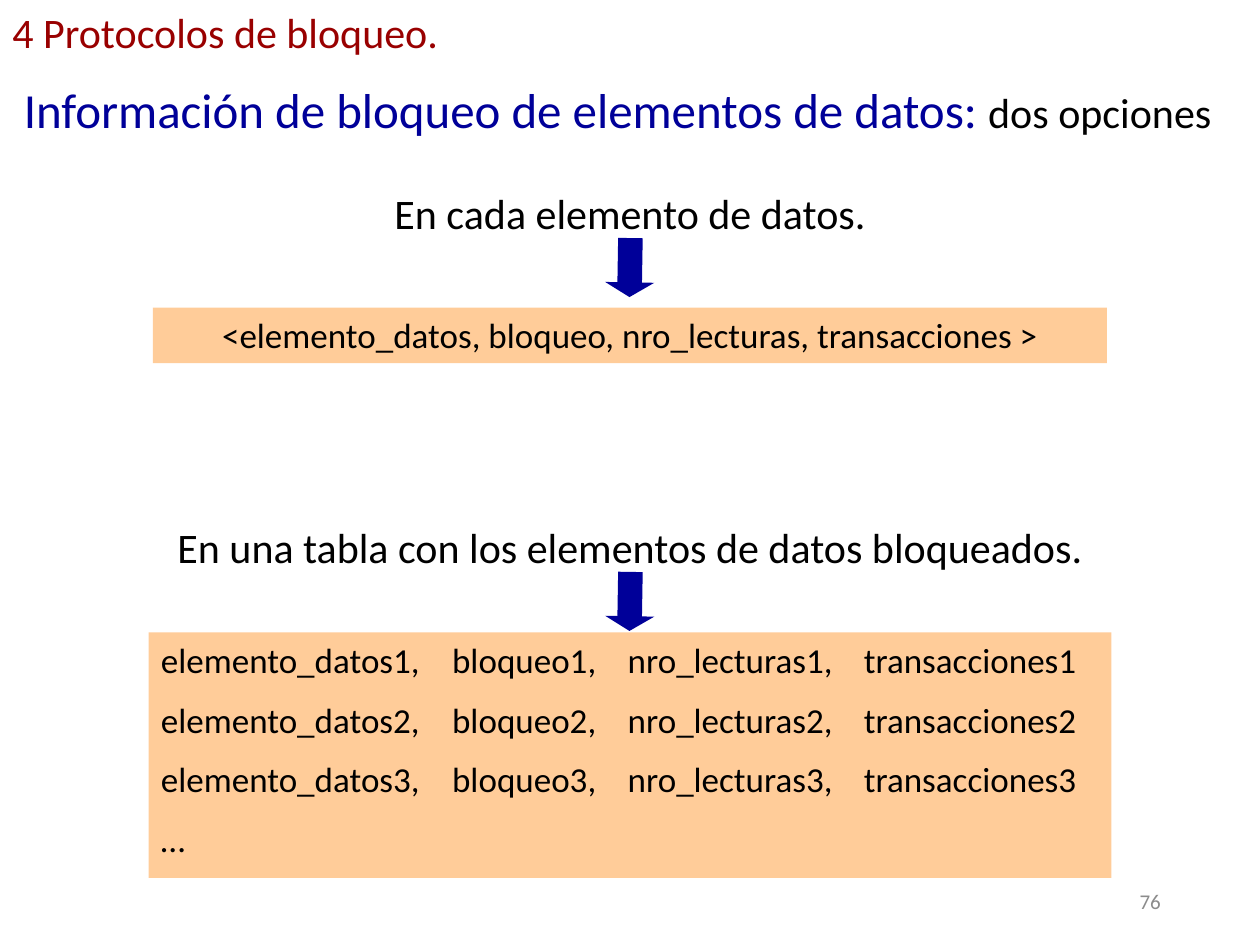
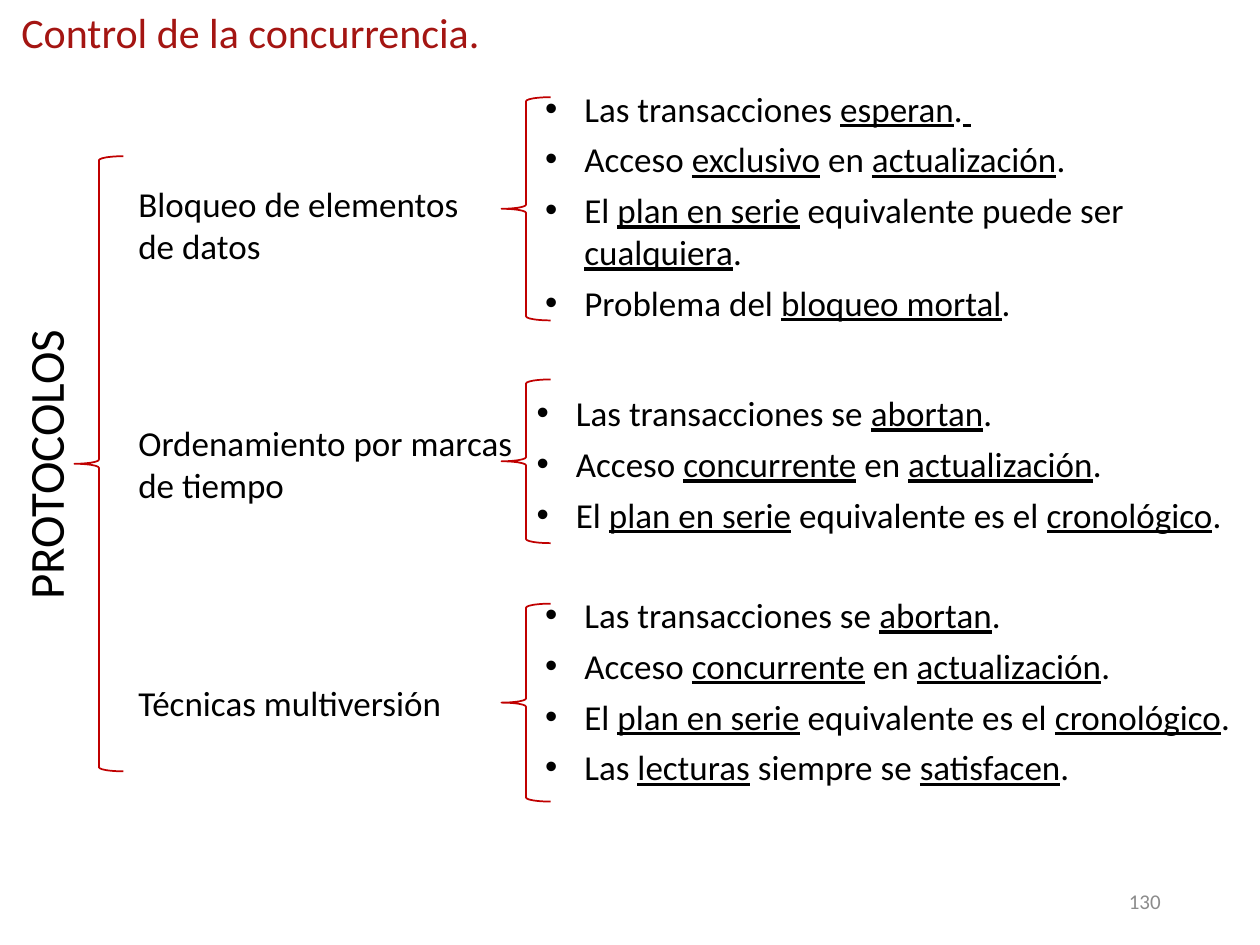
from pptx import Presentation
from pptx.dml.color import RGBColor
from pptx.enum.shapes import MSO_SHAPE as Preset
from pptx.enum.text import MSO_ANCHOR as Anchor, PP_ALIGN as Align
from pptx.oxml import parse_xml
from pptx.oxml.ns import nsdecls
from pptx.util import Cm, Pt

PAGE_WIDTH, PAGE_HEIGHT = 25.4, 19.05
COLORS = {
    "text": "000000",
    "number": "8C8C8C",
    "maroon": "990000",
    "red": "A41512",
    "navy": "000099",
    "peach": "FFCC99",
    "brace": "C00000",
}


def color(name):
    return RGBColor.from_string(COLORS[name])


def centered(width):
    """Left edge that centres something of this width on the page."""
    return (PAGE_WIDTH - width) / 2


class Deck:
    font = "Calibri"

    def __init__(self):
        self.prs = Presentation()
        self.prs.slide_width, self.prs.slide_height = Cm(PAGE_WIDTH), Cm(PAGE_HEIGHT)
        self.slide = None

    def new_slide(self, title, title_left, title_color, number):
        self.slide = self.prs.slides.add_slide(self.prs.slide_layouts[6])
        self.text(title_left, 0, 11.5, 1.27, [[title]], 24, title_color)
        self.text(17.93, 17.65, 5.72, 1.02, [[number]], 12, "number",
                  align=Align.RIGHT, anchor=Anchor.MIDDLE)

    def add_words(self, paragraph, words, size, ink="text", underline=False):
        run = paragraph.add_run()
        run.text = words
        run.font.name, run.font.size = self.font, Pt(size)
        run.font.color.rgb = color(ink)
        if underline:
            run.font.underline = True

    def fill_frame(self, frame, paragraphs, size, ink="text", align=Align.LEFT,
                   anchor=Anchor.TOP, gap=0):
        """Fill a frame; each paragraph is a list of strings or of add_words() arguments."""
        frame.word_wrap = True
        frame.vertical_anchor = anchor
        for index, pieces in enumerate(paragraphs):
            paragraph = frame.add_paragraph() if index else frame.paragraphs[0]
            paragraph.alignment = align
            if index and gap:
                paragraph.space_before = Pt(gap)
            for piece in pieces:
                styled = piece if isinstance(piece, tuple) else (piece, size, ink)
                self.add_words(paragraph, *styled)
        return frame

    def text(self, left, top, width, height, paragraphs, size, ink="text",
             rotation=0, **style):
        box = self.slide.shapes.add_textbox(Cm(left), Cm(top), Cm(width), Cm(height))
        box.rotation = rotation
        return self.fill_frame(box.text_frame, paragraphs, size, ink, **style)

    def bullets(self, left, top, width, height, items):
        """Bulleted list; words between asterisks are underlined."""
        paragraphs = [
            [(words, 20, "text", index % 2 == 1)
             for index, words in enumerate(item.split("*")) if words]
            for item in items
        ]
        frame = self.text(left, top, width, height, paragraphs, 20, gap=5)
        for paragraph in frame.paragraphs:
            properties = paragraph._p.get_or_add_pPr()
            properties.set("marL", str(Cm(0.79)))
            properties.set("indent", str(-Cm(0.79)))
            for tag in (f'<a:buFont {nsdecls("a")} typeface="Arial"/>',
                        f'<a:buChar {nsdecls("a")} char="•"/>'):
                properties.append(parse_xml(tag))

    def shape(self, preset, left, top, width, height, fill=None, line=None):
        shape = self.slide.shapes.add_shape(preset, Cm(left), Cm(top), Cm(width), Cm(height))
        shape.shadow.inherit = False
        if fill:
            shape.fill.solid()
            shape.fill.fore_color.rgb = color(fill)
        else:
            shape.fill.background()
        if line:
            shape.line.color.rgb = color(line)
            shape.line.width = Pt(1)
        else:
            shape.line.fill.background()
        return shape

    def panel(self, top, width, height, paragraphs, align=Align.LEFT, tabs=()):
        panel = self.shape(Preset.RECTANGLE, centered(width), top, width, height, "peach")
        frame = self.fill_frame(panel.text_frame, paragraphs, 20, align=align, gap=10)
        stops = "".join(f'<a:tab pos="{Cm(tab)}" algn="l"/>' for tab in tabs)
        if stops:
            for paragraph in frame.paragraphs:
                paragraph._p.get_or_add_pPr().append(
                    parse_xml(f'<a:tabLst {nsdecls("a")}>{stops}</a:tabLst>'))

    def down_arrow(self, top):
        arrow = self.shape(Preset.DOWN_ARROW, centered(0.99), top, 0.99, 1.19, "navy")
        arrow.adjustments[0], arrow.adjustments[1] = 0.5, 0.3
        arrow.rotation = 1

    def option(self, top, width, caption):
        self.text(centered(width), top, width, 1.3, [[caption]], 24, align=Align.CENTER)
        self.down_arrow(top + 1.14)

    def brace(self, left, top, height):
        self.shape(Preset.LEFT_BRACE, left, top, 0.99, height, line="brace")


def lock_information(deck):
    deck.new_slide("4 Protocolos de bloqueo.", 0, "maroon", "76")
    deck.text(0.23, 1.47, 25.1, 1.45, [[
        ("Información de bloqueo de elementos de datos: ", 28, "navy"),
        ("dos opciones", 24),
    ]], 28)

    deck.panel(6.2, 19.23, 1.12,
               [["<elemento_datos, bloqueo, nro_lecturas, transacciones >"]],
               Align.CENTER)
    fields = ("elemento_datos", "bloqueo", "nro_lecturas", "transacciones")
    locks = [[",\t".join(f"{field}{row}" for field in fields)] for row in (1, 2, 3)]
    deck.panel(12.75, 19.41, 4.95, locks + [["…"]], tabs=(5.87, 9.41, 14.17))

    deck.option(3.66, 12.09, "En cada elemento de datos.")
    deck.option(10.39, 19.96, "En una tabla con los elementos de datos bloqueados.")


def concurrency_control(deck):
    deck.new_slide("Control de la concurrencia.", 0.18, "red", "130")
    deck.text(-3.23, 8.64, 8.26, 1.45, [["PROTOCOLOS"]], 28,
              rotation=270, align=Align.CENTER)
    deck.brace(1.5, 3.15, 12.4)

    aborted = [
        "Las transacciones se *abortan*.",
        "Acceso *concurrente* en *actualización*.",
        "El *plan en serie* equivalente es el *cronológico*.",
    ]
    waiting = [
        "Las transacciones *esperan*.* *",
        "Acceso *exclusivo* en *actualización*.",
        "El *plan en serie* equivalente puede ser *cualquiera*.",
        "Problema del *bloqueo mortal*.",
    ]
    # name, its (top, width, height), brace (top, height), list box, list items
    protocols = [
        ("Bloqueo de elementos de datos", (3.56, 7.57, 1.96), (1.96, 4.5),
         (10.74, 1.63, 13.21, 5.18), waiting),
        ("Ordenamiento por marcas de tiempo", (8.38, 8.69, 1.96), (7.65, 3.3),
         (10.57, 7.77, 14.55, 3.25), aborted),
        ("Técnicas multiversión", (13.61, 8.03, 1.12), (12.17, 3.99),
         (10.74, 11.84, 14.66, 4.32),
         aborted + ["Las *lecturas* siempre se *satisfacen*."]),
    ]
    for name, name_box, brace_span, traits_box, traits in protocols:
        deck.text(2.54, *name_box, [[name]], 20)
        deck.bullets(*traits_box, traits)
        deck.brace(10.11, *brace_span)


def main():
    deck = Deck()
    lock_information(deck)
    concurrency_control(deck)
    deck.prs.save("out.pptx")


if __name__ == "__main__":
    main()
